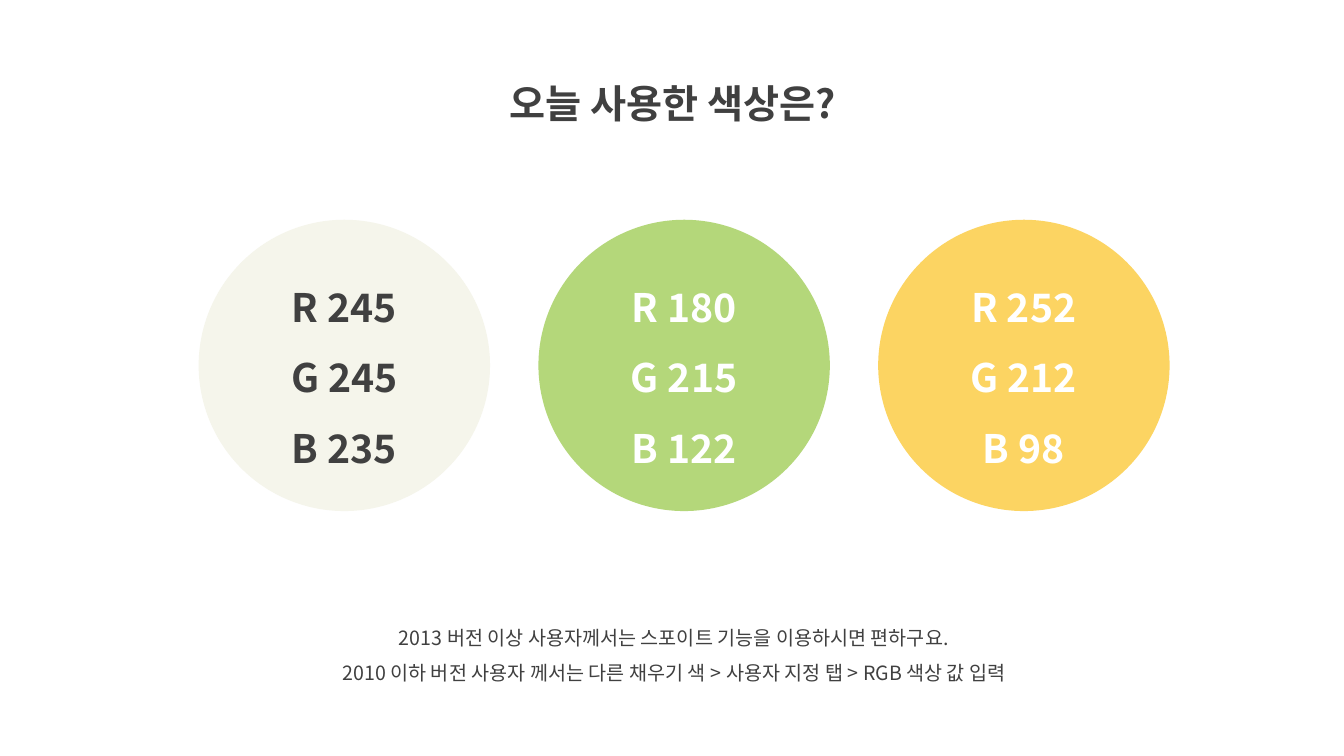
from lxml.etree import SubElement
from pptx import Presentation
from pptx.dml.color import RGBColor
from pptx.enum.shapes import MSO_SHAPE
from pptx.enum.text import MSO_ANCHOR, MSO_AUTO_SIZE, PP_ALIGN
from pptx.oxml.ns import qn
from pptx.util import Inches, Pt

FONT = "Noto Sans CJK KR"
DARK = RGBColor(0x40, 0x40, 0x40)
WHITE = RGBColor(0xFF, 0xFF, 0xFF)
CIRCLE_SIZE = 2.89
CIRCLE_LEFT = 1.97
CIRCLE_TOP = 2.18
CIRCLE_STEP = 3.37


def write_lines(shape, lines, size, color, bold):
    frame = shape.text_frame
    frame.word_wrap = True
    frame.text = "\n".join(lines)
    for paragraph in frame.paragraphs:
        paragraph.alignment = PP_ALIGN.CENTER
        paragraph.line_spacing = 1.5
        font = paragraph.font
        font.name = FONT
        font.size = Pt(size)
        font.bold = bold
        font.color.rgb = color
        defaults = paragraph._p.pPr.find(qn("a:defRPr"))
        SubElement(defaults, qn("a:ea"), typeface=FONT)


presentation = Presentation()
presentation.slide_width = Inches(13.33)
presentation.slide_height = Inches(7.5)
slide = presentation.slides.add_slide(presentation.slide_layouts[6])

title = ["오늘 사용한 색상은?"]
notice = [
    "2013 버전 이상 사용자께서는 스포이트 기능을 이용하시면 편하구요.",
    "2010 이하 버전 사용자 께서는 다른 채우기 색 > 사용자 지정 탭 > RGB 색상 값 입력",
]
text_boxes = [
    (4.36, 0.5, 4.63, 0.72, title, 28, True),
    (2.69, 6.04, 7.99, 0.81, notice, 14, False),
]
for left, top, width, height, lines, size, bold in text_boxes:
    box = slide.shapes.add_textbox(Inches(left), Inches(top), Inches(width), Inches(height))
    write_lines(box, lines, size, DARK, bold)
    box.text_frame.auto_size = MSO_AUTO_SIZE.SHAPE_TO_FIT_TEXT

swatches = [
    ((245, 245, 235), DARK),
    ((180, 215, 122), WHITE),
    ((252, 212, 98), WHITE),
]
for index, (channels, text_color) in enumerate(swatches):
    circle = slide.shapes.add_shape(
        MSO_SHAPE.OVAL,
        Inches(CIRCLE_LEFT + index * CIRCLE_STEP), Inches(CIRCLE_TOP),
        Inches(CIRCLE_SIZE), Inches(CIRCLE_SIZE),
    )
    circle.shadow.inherit = False
    circle.fill.solid()
    circle.fill.fore_color.rgb = RGBColor(*channels)
    circle.line.fill.background()
    circle.text_frame.vertical_anchor = MSO_ANCHOR.MIDDLE
    lines = [f"{name} {value}" for name, value in zip("RGB", channels)]
    write_lines(circle, lines, 28, text_color, True)

presentation.save("out.pptx")
